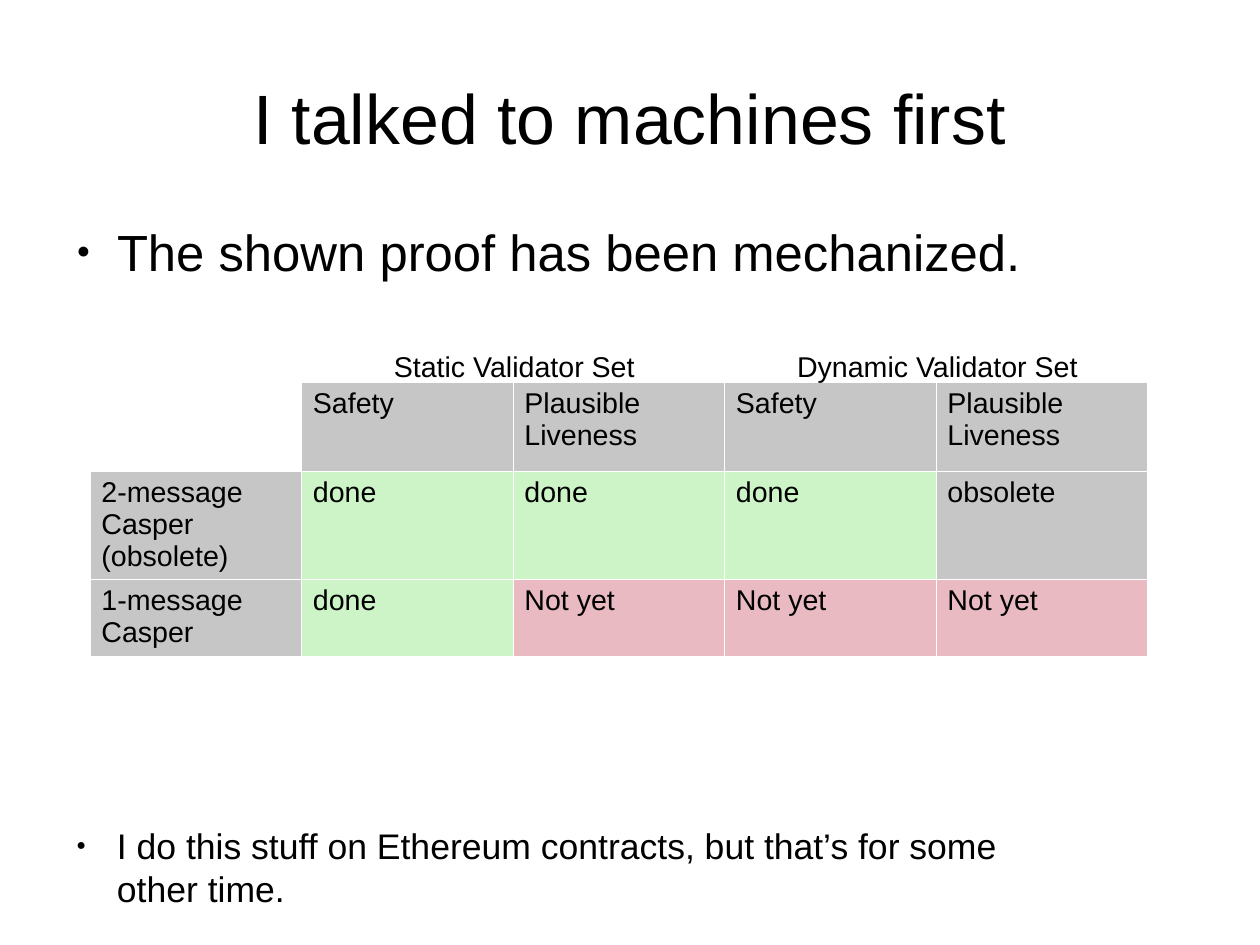
from lxml.etree import SubElement
from pptx import Presentation
from pptx.dml.color import RGBColor
from pptx.enum.text import MSO_ANCHOR, MSO_AUTO_SIZE, PP_ALIGN
from pptx.oxml import parse_xml
from pptx.oxml.ns import nsdecls, qn
from pptx.util import Cm, Pt

COLORS = {
    "text": "000000",
    "blank": "FFFFFF",
    "grid": "FFFFFF",
    "label": "C6C6C6",
    "done": "CCF4C6",
    "not yet": "EABAC2",
}


def write(frame, text, size, align=PP_ALIGN.LEFT):
    """Put one formatted paragraph into a text frame."""
    frame.text = text
    para = frame.paragraphs[0]
    para.alignment = align
    para.space_before = Pt(0)
    for span in para.runs:
        span.font.name = "Arial"
        span.font.size = Pt(size)
        span.font.color.rgb = RGBColor.from_string(COLORS["text"])
    return para


def write_bullet(box, text, size):
    """Fill a box with one bulleted paragraph, without insets."""
    frame = box.text_frame
    frame.word_wrap = True
    frame.auto_size = MSO_AUTO_SIZE.NONE
    frame.margin_left = frame.margin_right = 0
    frame.margin_top = frame.margin_bottom = 0
    props = write(frame, text, size)._p.get_or_add_pPr()
    props.set("marL", str(Cm(1.2)))
    props.set("indent", str(Cm(-0.9)))
    color = SubElement(props, qn("a:buClr"))
    SubElement(color, qn("a:srgbClr"), val=COLORS["text"])
    SubElement(props, qn("a:buSzPct"), val="45000")
    SubElement(props, qn("a:buFont"), typeface="Arial")
    SubElement(props, qn("a:buChar"), char="●")


deck = Presentation()
deck.slide_width, deck.slide_height = Cm(28), Cm(21)
page = deck.slides.add_slide(deck.slide_layouts[1])

# Title
title = page.shapes.title
title.left, title.top, title.width, title.height = Cm(1.4), Cm(0.84), Cm(25.2), Cm(3.51)
frame = title.text_frame
frame.auto_size = MSO_AUTO_SIZE.NONE
frame.vertical_anchor = MSO_ANCHOR.MIDDLE
frame.margin_left = frame.margin_right = frame.margin_top = frame.margin_bottom = 0
write(frame, "I talked to machines first", 44, PP_ALIGN.CENTER)

# Main bullet
body = page.placeholders[1]
body.left, body.top, body.width, body.height = Cm(1.4), Cm(4.9), Cm(25.2), Cm(12.17)
write_bullet(body, "The shown proof has been mechanized.", 32)

# Proof status table: each cell has a text and a colour name
rows = [
    [("", "blank"), ("Safety", "label"), ("Plausible Liveness", "label"),
     ("Safety", "label"), ("Plausible Liveness", "label")],
    [("2-message Casper (obsolete)", "label"), ("done", "done"), ("done", "done"),
     ("done", "done"), ("obsolete", "label")],
    [("1-message\vCasper", "label"), ("done", "done"), ("Not yet", "not yet"),
     ("Not yet", "not yet"), ("Not yet", "not yet")],
]
row_heights = [1.97, 2.4, 1.71]
column_width = 4.7
table = page.shapes.add_table(
    len(rows), len(rows[0]), Cm(2), Cm(8.49),
    Cm(column_width * len(rows[0])), Cm(sum(row_heights)),
).table
table.first_row = False
table.horz_banding = False
for column in table.columns:
    column.width = Cm(column_width)
for r, (row, height) in enumerate(zip(rows, row_heights)):
    table.rows[r].height = Cm(height)
    for c, (text, color) in enumerate(row):
        cell = table.cell(r, c)
        if text:
            write(cell.text_frame, text, 18)
        cell.fill.solid()
        cell.fill.fore_color.rgb = RGBColor.from_string(COLORS[color])
        for index, side in enumerate(("lnL", "lnR", "lnT", "lnB")):
            line = parse_xml(
                f'<a:{side} {nsdecls("a")} w="{Pt(0.06)}"><a:solidFill>'
                f'<a:srgbClr val="{COLORS["grid"]}"/></a:solidFill></a:{side}>'
            )
            cell._tc.get_or_add_tcPr().insert(index, line)

# Group headings above the table
for text, left in (("Static Validator Set", 6.86), ("Dynamic Validator Set", 16.26)):
    heading = page.shapes.add_textbox(Cm(left), Cm(7.62), Cm(9.14), Cm(0.97))
    heading.text_frame.word_wrap = True
    write(heading.text_frame, text, 18, PP_ALIGN.CENTER)

# Closing bullet
closing = page.shapes.add_textbox(Cm(1.4), Cm(18.31), Cm(21.77), Cm(1.5))
write_bullet(
    closing,
    "I do this stuff on Ethereum contracts, but that’s for some other time.",
    22.4,
)

deck.save("out.pptx")
